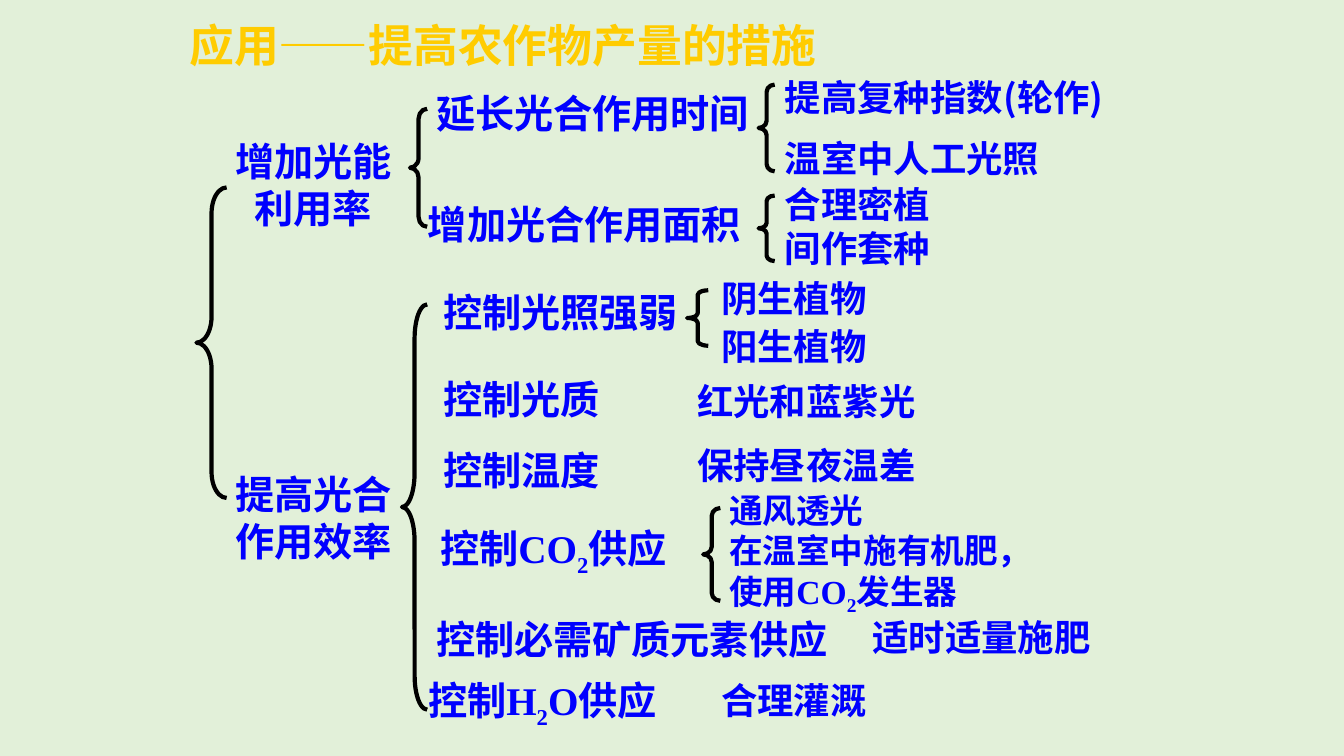
from pptx import Presentation
from pptx import util as u
from pptx.dml.color import RGBColor
from pptx.enum import shapes, text
from pptx.oxml import ns
from lxml import etree

BACKGROUND = RGBColor(0xE2, 0xF0, 0xD9)
TITLE_YELLOW = RGBColor(0xFF, 0xCC, 0x00)
TEXT_BLUE = RGBColor(0x00, 0x00, 0xFF)
BRACE_BLACK = RGBColor(0, 0, 0)
SANS = "Noto Sans CJK SC"
SERIF = "Times New Roman"
CALIBRI = "Calibri"
MEASURE_SIZE = 28
DETAIL_SIZE = 26


def add_run(paragraph, wording, size, font, color, subscript):
    run = paragraph.add_run()
    run.text = wording
    run.font.size = u.Pt(size)
    run.font.bold = True
    run.font.name = font
    run.font.color.rgb = color
    properties = run._r.get_or_add_rPr()
    etree.SubElement(properties, ns.qn("a:ea")).set("typeface", SANS)
    if subscript:
        properties.set("baseline", "-25000")


def add_text(slide, wording, box, size=DETAIL_SIZE, font=SANS, color=TEXT_BLUE,
             align=text.PP_ALIGN.LEFT, line_spacing=None):
    frame = slide.shapes.add_textbox(*map(u.Inches, box)).text_frame
    frame.word_wrap = True
    frame.auto_size = text.MSO_AUTO_SIZE.SHAPE_TO_FIT_TEXT
    for number, line in enumerate(wording.split("\n")):
        paragraph = frame.add_paragraph() if number else frame.paragraphs[0]
        paragraph.alignment = align
        paragraph.line_spacing = line_spacing
        for part, piece in enumerate(line.split("_")):
            add_run(paragraph, piece, size, font, color, subscript=part % 2 == 1)


def add_brace(slide, left, top, width, height):
    brace = slide.shapes.add_shape(
        shapes.MSO_SHAPE.LEFT_BRACE, *map(u.Inches, (left, top, width, height)))
    brace.adjustments[0] = height / width / 12
    brace.shadow.inherit = False
    brace.fill.background()
    brace.line.color.rgb = BRACE_BLACK
    brace.line.width = u.Pt(3)


def add_branch(slide, box, heading, heading_top, braces, measures, details):
    left, top, width, height = box

    def place(x, y, w, h):
        return left + x, top + y, w, h

    add_text(slide, heading, place(0, heading_top, 1.9, 1.04),
             size=MEASURE_SIZE, align=text.PP_ALIGN.CENTER)
    for brace in braces:
        add_brace(slide, *place(*brace))
    for wording, area, font in measures:
        add_text(slide, wording, place(*area), size=MEASURE_SIZE, font=font)
    for wording, area, style in details:
        add_text(slide, wording, place(*area), **style)


def add_title(slide, box):
    add_text(slide, "应用——提高农作物产量的措施", box,
             size=32, font=SERIF, color=TITLE_YELLOW)


def add_light_use(slide, box):
    add_branch(
        slide, box, "增加光能利用率", 0.79,
        braces=[(1.91, 0.56, 0.17, 1.17), (5.37, 0.32, 0.16, 0.86),
                (5.37, 1.42, 0.16, 0.65)],
        measures=[("延长光合作用时间", (2.07, 0.32, 3.54, 0.57), SANS),
                  ("增加光合作用面积", (1.99, 1.42, 3.54, 0.57), SANS)],
        details=[("提高复种指数(轮作)\n温室中人工光照", (5.53, 0, 3.7, 1.92),
                  dict(line_spacing=1.4)),
                 ("合理密植\n间作套种", (5.53, 1.24, 2.44, 0.97), {})])


def add_efficiency(slide, box):
    add_branch(
        slide, box, "提高光合作用效率", 1.97,
        braces=[(1.83, 0.37, 0.25, 4.02), (4.66, 0.23, 0.21, 0.55),
                (4.82, 2.39, 0.17, 0.92)],
        measures=[("控制光照强弱", (2.14, 0.16, 3.94, 0.57), SANS),
                  ("控制光质", (2.14, 1.02, 2.36, 0.57), SANS),
                  ("控制温度", (2.14, 1.73, 2.44, 0.57), SANS),
                  ("控制CO_2_供应", (2.11, 2.5, 2.71, 0.63), SERIF),
                  ("控制必需矿质元素供应", (2.07, 3.41, 4.65, 0.57), SANS),
                  ("控制H_2_O供应", (1.99, 4.01, 2.85, 0.63), SERIF)],
        details=[("阴生植物\n阳生植物", (4.9, 0, 2.17, 1.06), dict(line_spacing=1.1)),
                 ("红光和蓝紫光", (4.66, 1.02, 3.31, 0.58), dict(line_spacing=1.1)),
                 ("保持昼夜温差", (4.66, 1.65, 3.05, 0.58), dict(line_spacing=1.1)),
                 ("通风透光\n在温室中施有机肥，\n使用CO_2_发生器",
                  (4.98, 2.16, 3.54, 1.36), dict(size=24, font=SERIF)),
                 ("适时适量施肥", (6.4, 3.4, 2.68, 0.54), dict(font=CALIBRI)),
                 ("合理灌溉", (4.9, 4.03, 2.52, 0.54), dict(font=CALIBRI))])


def main():
    deck = Presentation()
    deck.slide_width = u.Inches(13.34)
    deck.slide_height = u.Inches(7.5)
    slide = deck.slides.add_slide(deck.slide_layouts[6])
    slide.background.fill.solid()
    slide.background.fill.fore_color.rgb = BACKGROUND
    add_title(slide, (1.78, 0.13, 7.68, 0.64))
    add_brace(slide, 1.95, 1.86, 0.3, 3.08)
    add_light_use(slide, (2.16, 0.52, 9.23, 2.21))
    add_efficiency(slide, (2.16, 2.65, 9.08, 4.64))
    deck.save("out.pptx")


if __name__ == "__main__":
    main()
